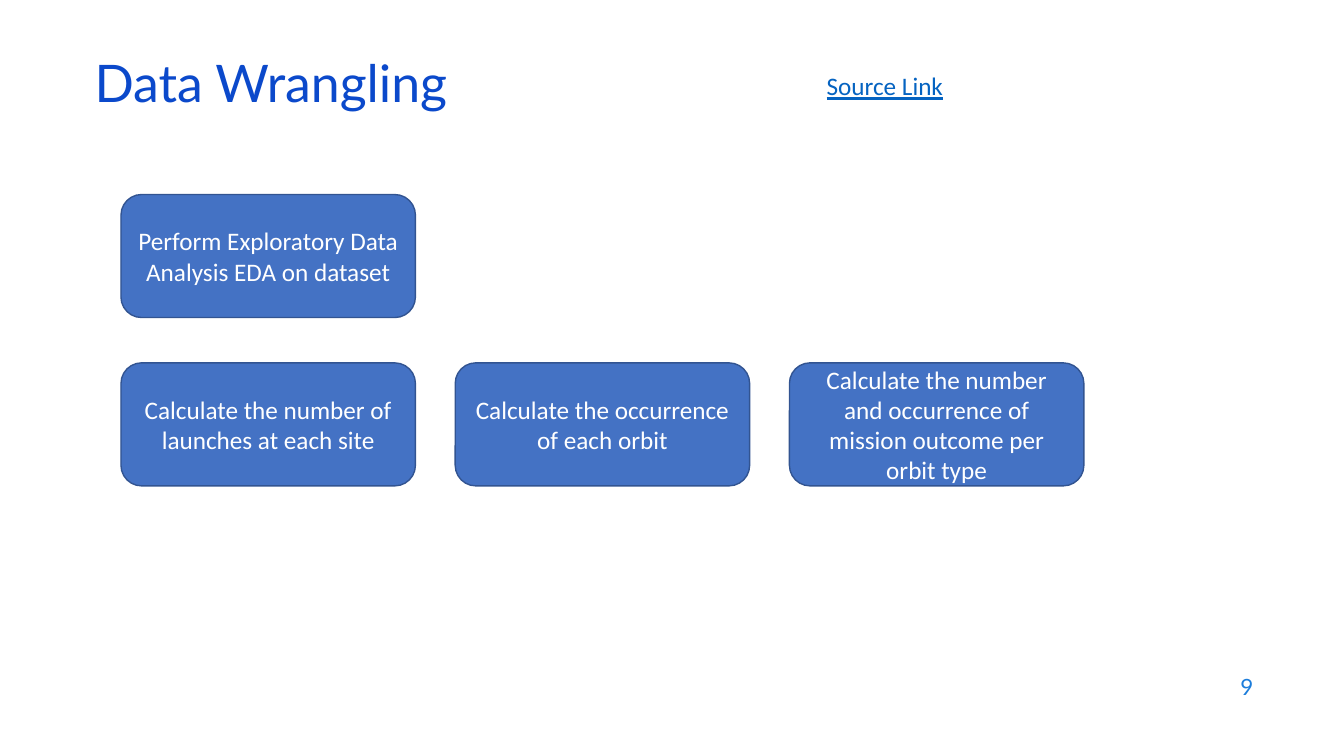
from dataclasses import dataclass

from pptx import Presentation
from pptx import util as u
from pptx.dml.color import RGBColor
from pptx.enum import shapes, text


@dataclass(frozen=True)
class Theme:
    head: str = "Lato"
    body: str = "Calibri"
    title: str = "0B49CB"
    page: str = "1C7DDB"
    link: str = "0563C1"
    fill: str = "4472C4"
    edge: str = "325491"
    white: str = "FFFFFF"
    big: int = 37
    mid: int = 18
    small: int = 16


T = Theme()
STEPS = {
    (0, 0): "Perform Exploratory Data Analysis EDA on dataset",
    (1, 0): "Calculate the number of launches at each site",
    (1, 1): "Calculate the occurrence of each orbit",
    (1, 2): "Calculate the number and occurrence of mission outcome per orbit type",
}


def rgb(code):
    return RGBColor.from_string(code)


def write(shape, words, size=T.mid, face=T.body, color=T.white, align="LEFT",
          anchor="MIDDLE", wrap=True, under=None, lead=None):
    frame = shape.text_frame
    frame.word_wrap = wrap
    frame.vertical_anchor = getattr(text.MSO_ANCHOR, anchor)
    para = frame.paragraphs[0]
    para.alignment = getattr(text.PP_ALIGN, align)
    para.line_spacing = lead
    run = para.add_run()
    run.text = words
    font = run.font
    font.size, font.name, font.underline = u.Pt(size), face, under
    font.color.rgb = rgb(color)


def label(slide, box, words, **form):
    write(slide.shapes.add_textbox(*map(u.Inches, box)), words, **form)


def step(slide, box, words):
    card = slide.shapes.add_shape(
        shapes.MSO_SHAPE.ROUNDED_RECTANGLE, *map(u.Inches, box))
    card.shadow.inherit = False
    card.fill.solid()
    card.fill.fore_color.rgb = rgb(T.fill)
    card.line.color.rgb = rgb(T.edge)
    card.line.width = u.Pt(1)
    write(card, words, align="CENTER")


def header(slide, box):
    left, top, width, high = box
    label(slide, box, "Data Wrangling", size=T.big, face=T.head,
          color=T.title, lead=0.7)
    label(slide, (left + 7.26, top + 0.06, 1.4, 0.4), "Source Link",
          color=T.link, under=True, wrap=False, anchor="TOP")


def flow(slide, box, rows=2, cols=3, wide=2.92, high=1.22):
    """Spread the steps evenly so the grid fills the box."""
    left, top, width, depth = box
    across = (width - wide) / (cols - 1)
    down = (depth - high) / (rows - 1)
    for (row, col), words in STEPS.items():
        step(slide, (left + col * across, top + row * down, wide, high), words)


def footer(slide, box):
    label(slide, box, "9", size=T.small, face=T.head, color=T.page,
          align="RIGHT")


def main():
    deck = Presentation()
    deck.slide_width, deck.slide_height = u.Inches(13.33), u.Inches(7.5)
    slide = deck.slides.add_slide(deck.slide_layouts[6])
    header(slide, (0.84, 0.59, 11.5, 0.6))
    flow(slide, (1.2, 1.93, 9.55, 2.89))
    footer(slide, (9.53, 6.59, 3, 0.44))
    deck.save("out.pptx")


if __name__ == "__main__":
    main()
